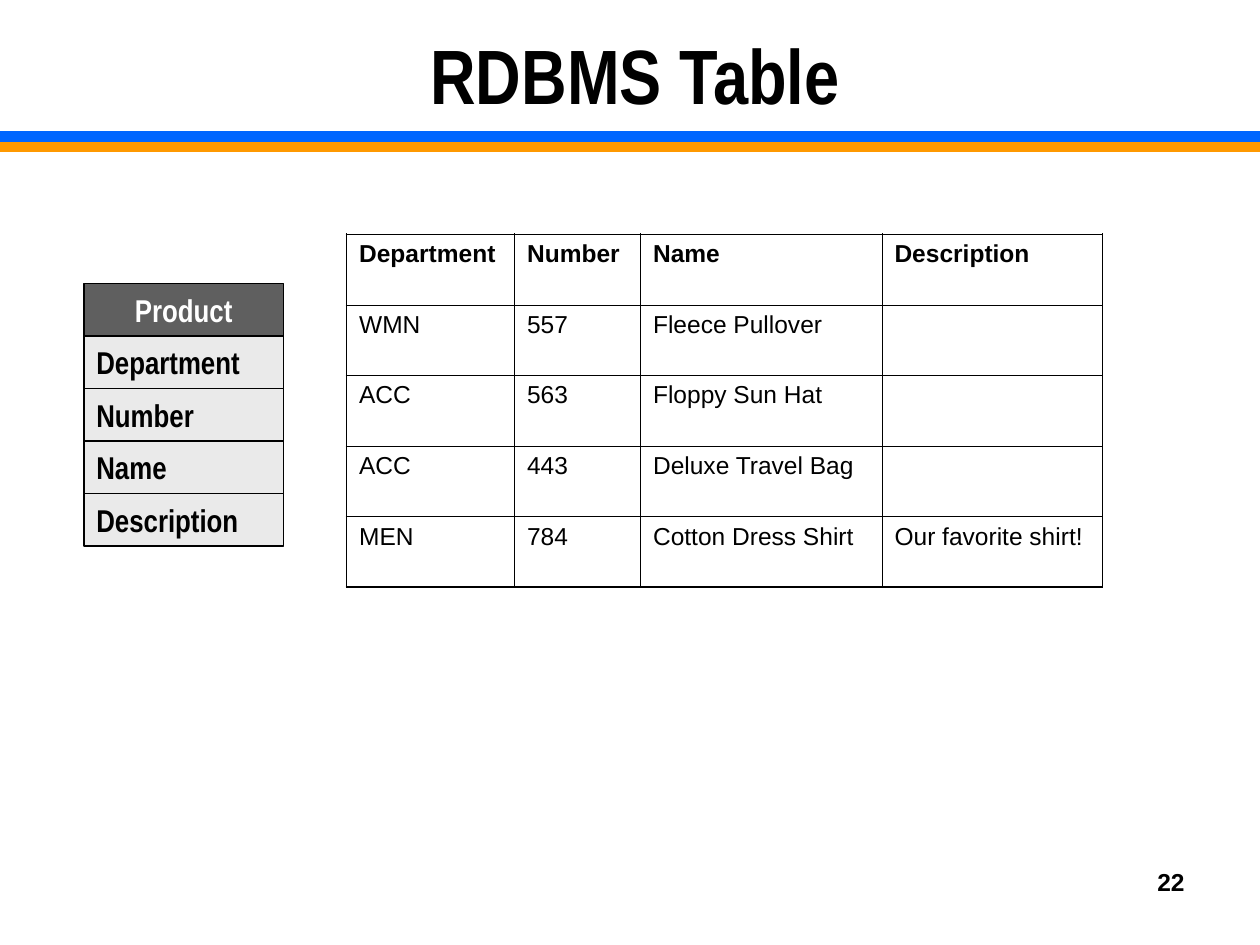
from lxml import etree
from pptx import Presentation
from pptx.dml.color import RGBColor
from pptx.enum.shapes import MSO_CONNECTOR, MSO_SHAPE
from pptx.enum.text import MSO_ANCHOR, PP_ALIGN
from pptx.oxml.ns import qn
from pptx.util import Inches, Pt

LEFT, CENTER, RIGHT = PP_ALIGN.LEFT, PP_ALIGN.CENTER, PP_ALIGN.RIGHT
TOP, MIDDLE = MSO_ANCHOR.TOP, MSO_ANCHOR.MIDDLE
RECT, STRAIGHT = MSO_SHAPE.RECTANGLE, MSO_CONNECTOR.STRAIGHT

TITLE = "RDBMS Table"
PAGE = "22"
ENTITY = "Product"
FIELDS = ["Department", "Number", "Name", "Description"]
PRODUCTS = [
    ("WMN", "557", "Fleece Pullover", ""),
    ("ACC", "563", "Floppy Sun Hat", ""),
    ("ACC", "443", "Deluxe Travel Bag", ""),
    ("MEN", "784", "Cotton Dress Shirt", "Our favorite shirt!"),
]
RULES = [(14, "FF9900"), (13, "0066FF")]
COLUMNS = [16, 12, 23, 21]
ROW_HEIGHT = 0.56
OUTER, INNER = 1.08, 0.45
BLACK, WHITE, DARK, LIGHT = "000000", "FFFFFF", "5F5F5F", "EAEAEA"


def grid(n):
    return Inches(n / 12)


def rgb(value):
    return RGBColor.from_string(value)


def write(tf, text, size, font, bold=True, color=BLACK, align=LEFT, anchor=TOP):
    tf.vertical_anchor = anchor
    p = tf.paragraphs[0]
    p.text = text
    p.alignment = align
    p.font.size = Pt(size)
    p.font.name = font
    p.font.bold = bold
    p.font.color.rgb = rgb(color)


def add_rule(shapes, y, color):
    line = shapes.add_connector(STRAIGHT, 0, grid(y), prs.slide_width, grid(y))
    line.line.color.rgb = rgb(color)
    line.line.width = Pt(6)
    etree.SubElement(line._element.spPr, qn("a:effectLst"))


def add_entity_row(shapes, row, text, fill, color, align):
    sp = shapes.add_shape(RECT, grid(8), grid(27 + 5 * row), grid(19), grid(5))
    sp.shadow.inherit = False
    sp.fill.solid()
    sp.fill.fore_color.rgb = rgb(fill)
    sp.line.color.rgb = rgb(BLACK)
    sp.line.width = Pt(0.75)
    sp.text_frame.word_wrap = False
    write(sp.text_frame, text, 18, "Arial Narrow", color=color, align=align, anchor=MIDDLE)


def set_borders(cell, widths):
    tcPr = cell._tc.get_or_add_tcPr()
    for side, width in zip("LRTB", widths):
        ln = etree.SubElement(tcPr, qn(f"a:ln{side}"), w=str(Pt(width)))
        fill = etree.SubElement(ln, qn("a:solidFill"))
        etree.SubElement(fill, qn("a:srgbClr"), val=BLACK)


def add_product_table(shapes):
    rows = [FIELDS, *PRODUCTS]
    last_row, last_col = len(rows) - 1, len(COLUMNS) - 1
    table = shapes.add_table(len(rows), len(COLUMNS), grid(33), Inches(1.86),
                             grid(sum(COLUMNS)), Inches(ROW_HEIGHT * len(rows))).table
    table.first_row = table.horz_banding = False
    for column, width in zip(table.columns, COLUMNS):
        column.width = grid(width)
    for r, values in enumerate(rows):
        table.rows[r].height = Inches(ROW_HEIGHT)
        for c, text in enumerate(values):
            cell = table.cell(r, c)
            edges = (c == 0, c == last_col, r == 0, r == last_row)
            set_borders(cell, [OUTER if edge else INNER for edge in edges])
            cell.fill.background()
            write(cell.text_frame, text, 14, "Arial", bold=r == 0)


prs = Presentation()
prs.slide_width, prs.slide_height = Inches(10), Inches(7.5)
s = prs.slides.add_slide(prs.slide_layouts[5])

for y, color in RULES:
    add_rule(s.shapes, y, color)

title = s.shapes.title
title.left, title.top, title.width, title.height = grid(6), grid(2), grid(109), grid(10)
write(title.text_frame, TITLE, 44, "Arial Narrow", align=CENTER, anchor=MIDDLE)

for row, field in enumerate(FIELDS, 1):
    add_entity_row(s.shapes, row, field, LIGHT, BLACK, LEFT)
add_entity_row(s.shapes, 0, ENTITY, DARK, WHITE, CENTER)

add_product_table(s.shapes)

number = s.shapes.add_textbox(grid(86), grid(82), grid(28), Inches(0.52))
number.text_frame.word_wrap = True
write(number.text_frame, PAGE, 14, "Arial", align=RIGHT)

prs.save("out.pptx")
